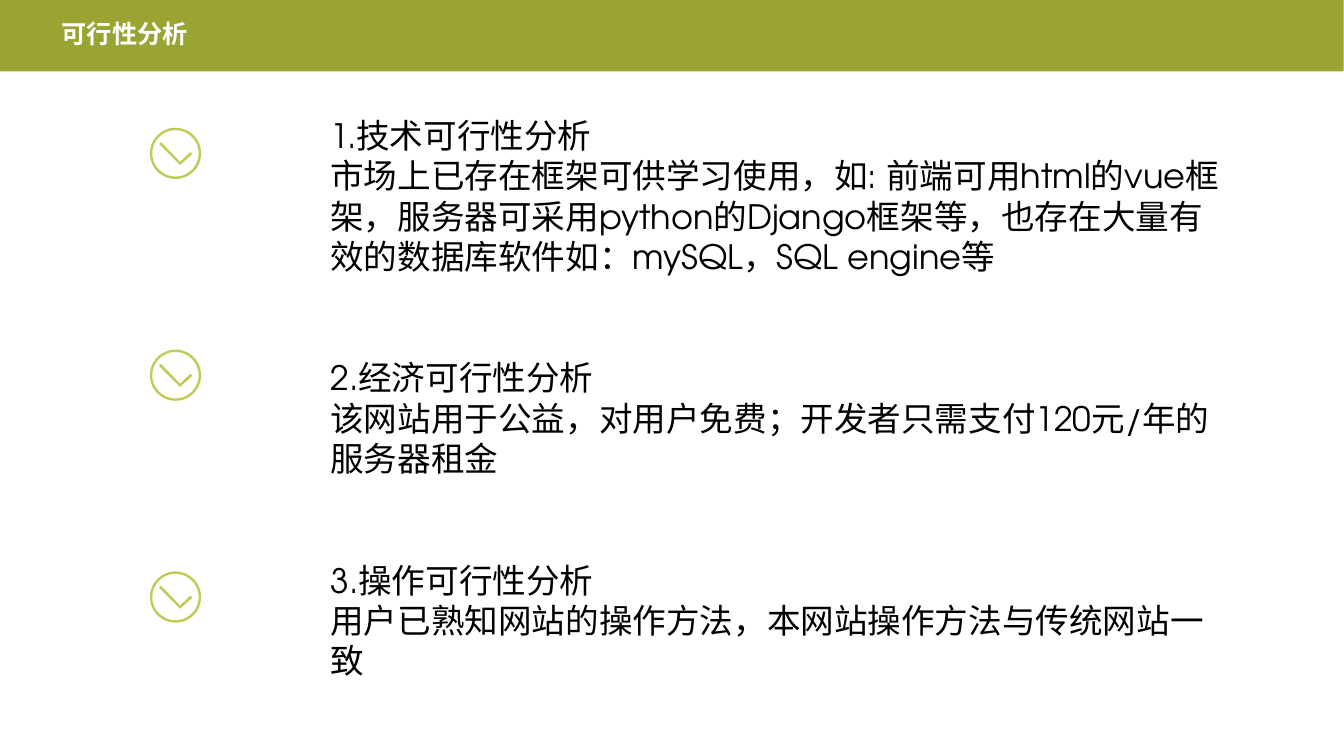
import pptx
import pptx.util
import pptx.dml.color
import pptx.enum.lang
import pptx.enum.shapes
import pptx.enum.text

Cm = pptx.util.Cm
FONT = "TeX Gyre Adventor"
COLORS = {"band": "9AA433", "marker": "C0CA54", "title": "FFFFFF", "body": "000000"}

TITLE = "可行性分析"
SECTIONS = [
    ("1.技术可行性分析",
     "市场上已存在框架可供学习使用，如: 前端可用html的vue框架，服务器可采用python的"
     "Django框架等，也存在大量有效的数据库软件如：mySQL，SQL engine等"),
    ("2.经济可行性分析",
     "该网站用于公益，对用户免费；开发者只需支付120元/年的服务器租金"),
    ("3.操作可行性分析",
     "用户已熟知网站的操作方法，本网站操作方法与传统网站一致"),
]

# Marker geometry in centimetres
MARKER_LEFT, MARKER_TOP, MARKER_PITCH = 3.78, 3.22, 5.59
RING_SIZE, RING_WIDTH = 1.29, 0.06
CHEVRON = [(0.23, 0.41), (0.28, 0.36), (0.76, 0.86),
           (1.02, 0.61), (1.07, 0.66), (0.76, 0.94)]


def rgb(name):
    return pptx.dml.color.RGBColor.from_string(COLORS[name])


def paint(shape, color):
    shape.shadow.inherit = False
    shape.fill.solid()
    shape.fill.fore_color.rgb = rgb(color)
    shape.line.fill.background()


def add_run(paragraph, text, size, color, bold=False):
    paragraph.alignment = pptx.enum.text.PP_ALIGN.LEFT
    run = paragraph.add_run()
    run.text = text
    run.font.name = FONT
    run.font.size = pptx.util.Pt(size)
    run.font.bold = bold
    run.font.color.rgb = rgb(color)
    run.font.language_id = pptx.enum.lang.MSO_LANGUAGE_ID.SIMPLIFIED_CHINESE


def add_title(slide):
    band = slide.shapes.add_shape(
        pptx.enum.shapes.MSO_SHAPE.RECTANGLE, 0, 0, Cm(33.87), Cm(1.8))
    paint(band, "band")
    title = slide.shapes.title
    title.element.addprevious(band.element)  # the band lies behind the title
    title.left, title.top, title.width, title.height = Cm(1.3), Cm(0.43), Cm(10.62), Cm(1.02)
    frame = title.text_frame
    frame.auto_size = pptx.enum.text.MSO_AUTO_SIZE.NONE
    frame.vertical_anchor = pptx.enum.text.MSO_ANCHOR.TOP
    heading = frame.paragraphs[0]
    heading.line_spacing = 0.9
    add_run(heading, TITLE, 18, "title", bold=True)


def add_sections(slide):
    frame = slide.shapes.add_textbox(Cm(8.08), Cm(2.77), Cm(22.91), Cm(14.48)).text_frame
    frame.word_wrap = True
    for index, (heading_text, detail_text) in enumerate(SECTIONS):
        heading = frame.add_paragraph() if index else frame.paragraphs[0]
        if index:
            heading.space_before = pptx.util.Pt(58)
        add_run(heading, heading_text, 24, "body")
        add_run(frame.add_paragraph(), detail_text, 24, "body")


def add_marker(slide, left, top):
    ring = slide.shapes.add_shape(
        pptx.enum.shapes.MSO_SHAPE.DONUT, Cm(left), Cm(top), Cm(RING_SIZE), Cm(RING_SIZE))
    ring.adjustments[0] = RING_WIDTH / RING_SIZE
    paint(ring, "marker")
    corners = [(Cm(left + x), Cm(top + y)) for x, y in CHEVRON]
    outline = slide.shapes.build_freeform(*corners[0])
    outline.add_line_segments(corners[1:], close=True)
    paint(outline.convert_to_shape(), "marker")


def main():
    deck = pptx.Presentation()
    deck.slide_width, deck.slide_height = Cm(33.88), Cm(19.05)
    slide = deck.slides.add_slide(deck.slide_layouts[5])  # title only

    # Header
    add_title(slide)
    # Analysis text
    add_sections(slide)
    # One marker per section
    for index in range(len(SECTIONS)):
        add_marker(slide, MARKER_LEFT, MARKER_TOP + index * MARKER_PITCH)

    deck.save("out.pptx")


if __name__ == "__main__":
    main()
